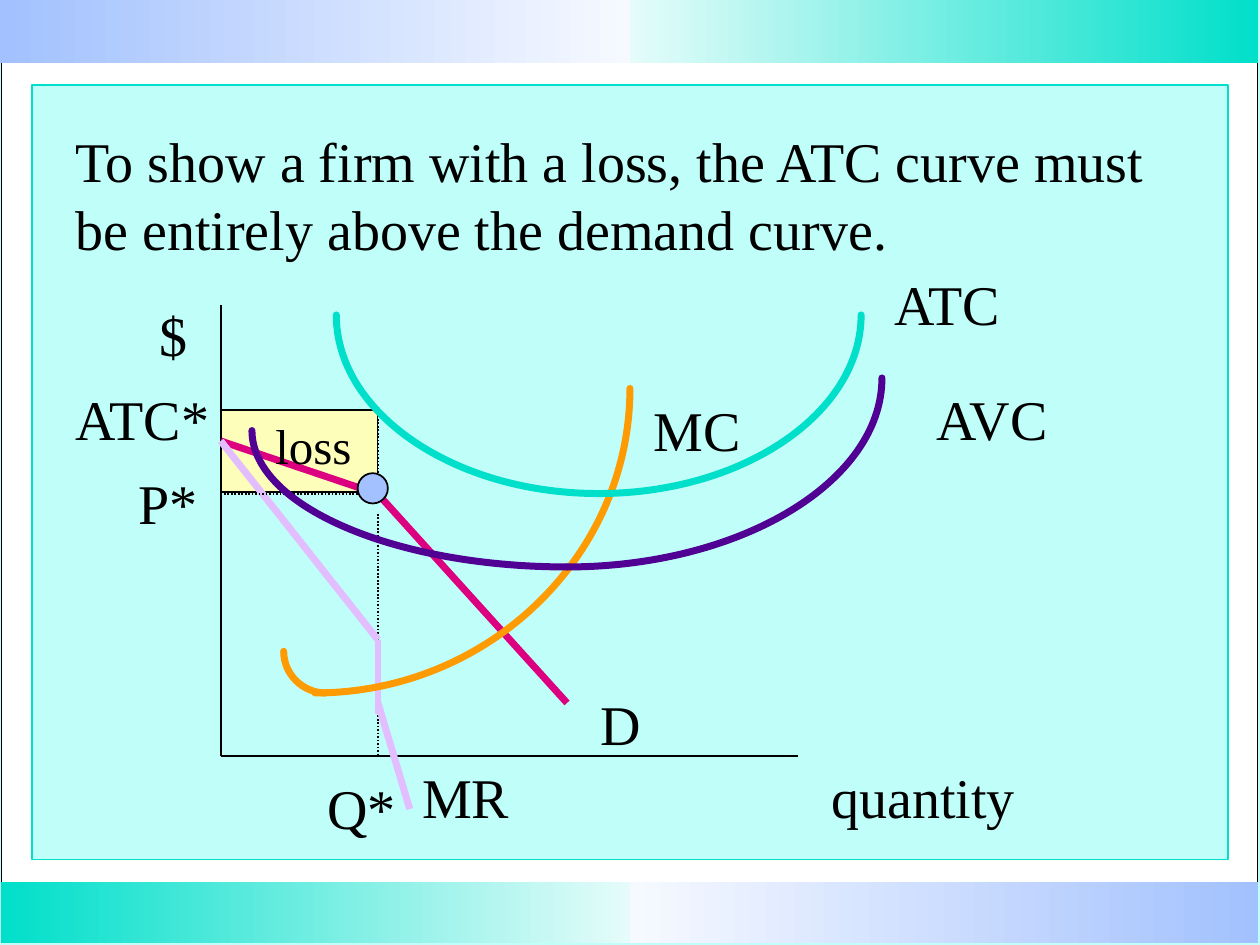
from pptx import Presentation
from pptx import util as u
from pptx.dml.color import RGBColor
from pptx.enum import dml, shapes, text
from pptx.oxml import ns, xmlchemy

INK, AQUA, TEAL, BLUE = "000000", "C0FEF9", "00DFCA", "A2C1FE"
PALE_BLUE, PALE_TEAL = "F6F9FF", "E5FCFA"
PINK, LILAC, ORANGE, PURPLE = "DC0081", "E3BEFF", "FE9B03", "500093"
AXIS_X, AXIS_Y, QUANTITY_X = 4.45, 15.24, 7.62
ATC_Y, PRICE_Y, START_Y = 8.26, 9.96, 8.89
ROUNDNESS = 0.55

LABELS = [
    ("quantity", 16.51, 15.24, 4.47),
    ("$", 2.97, 5.94, 1.73),
    ("D", 11.86, 13.77, 1.3),
    ("MR", 8.26, 15.24, 3.4),
    ("Q*", 6.35, 15.47, 2.13),
    ("P*", 2.54, 9.32, 1.93),
    ("MC", 12.93, 7.85, 2.57),
    ("ATC", 17.78, 5.3, 3),
    ("ATC*", 1.27, 7.62, 3.4),
    ("AVC", 18.63, 7.62, 3.2),
]

CURVES = [
    (6.35, 7.83, 6.35, 6.14, ORANGE),
    (6.57, 13.13, -0.85, 0.84, ORANGE),
    (12.07, 6.35, -5.29, 3.6, TEAL),
    (12.07, 6.35, 5.29, 3.6, TEAL),
    (11.43, 8.68, -6.35, 2.75, PURPLE),
    (11.43, 7.62, 6.35, 3.81, PURPLE),
]


def paint(color_format, value):
    color_format.rgb = RGBColor.from_string(value)


def write(frame, content, size=32, anchor=text.MSO_ANCHOR.TOP,
          fit=text.MSO_AUTO_SIZE.SHAPE_TO_FIT_TEXT):
    frame.word_wrap = True
    frame.auto_size = fit
    frame.vertical_anchor = anchor
    para = frame.paragraphs[0]
    para.alignment = text.PP_ALIGN.LEFT
    span = para.add_run()
    span.text = content
    span.font.size = u.Pt(size)
    span.font.name = "Times New Roman"
    paint(span.font.color, INK)


def add_label(page, content, left, top, width, height=1.6, size=32):
    box = page.shapes.add_textbox(*map(u.Cm, (left, top, width, height)))
    write(box.text_frame, content, size=size)


def add_block(page, area, fill, outline=None, kind=shapes.MSO_SHAPE.RECTANGLE):
    block = page.shapes.add_shape(kind, *map(u.Cm, area))
    block.shadow.inherit = False
    if isinstance(fill, tuple):
        block.fill.gradient()
        block.fill.gradient_angle = 0
        for stop, value in zip(block.fill.gradient_stops, fill):
            paint(stop.color, value)
    else:
        block.fill.solid()
        paint(block.fill.fore_color, fill)
    if outline:
        paint(block.line.color, outline)
        block.line.width = u.Pt(1)
    else:
        block.line.fill.background()
    return block


def add_path(page, points, color=INK, width=1, dotted=False):
    for start, end in zip(points, points[1:]):
        line = page.shapes.add_connector(
            shapes.MSO_CONNECTOR.STRAIGHT, *map(u.Cm, start + end))
        paint(line.line.color, color)
        line.line.width = u.Pt(width)
        if dotted:
            line.line.dash_style = dml.MSO_LINE.ROUND_DOT
        line._element.spPr.append(xmlchemy.OxmlElement("a:effectLst"))


def bend(curve):
    segment = next(curve._element.iter(ns.qn("a:lnTo")))
    start, end = [(int(point.get("x")), int(point.get("y")))
                  for point in segment.getparent().iter(ns.qn("a:pt"))]
    controls = [
        (start[0], start[1] + ROUNDNESS * (end[1] - start[1])),
        (end[0] + ROUNDNESS * (start[0] - end[0]), end[1]),
    ]
    segment.tag = ns.qn("a:cubicBezTo")
    for index, (x, y) in enumerate(controls):
        point = xmlchemy.OxmlElement("a:pt")
        point.set("x", str(round(x)))
        point.set("y", str(round(y)))
        segment.insert(index, point)


def add_curve(page, center_x, center_y, reach_x, reach_y, color):
    builder = page.shapes.build_freeform(u.Cm(center_x + reach_x), u.Cm(center_y))
    builder.add_line_segments([(u.Cm(center_x), u.Cm(center_y + reach_y))],
                              close=False)
    curve = builder.convert_to_shape()
    bend(curve)
    curve.shadow.inherit = False
    curve.fill.background()
    paint(curve.line.color, color)
    curve.line.width = u.Pt(4)
    outline = curve._element.spPr.find(ns.qn("a:ln"))
    outline.set("cap", "rnd")
    outline.append(xmlchemy.OxmlElement("a:round"))


def add_frame(master, page):
    master.background.fill.solid()
    paint(master.background.fill.fore_color, AQUA)
    blocks = [
        add_block(page, (0.03, 0.03, 25.32, 18.97), "FFFFFF", INK),
        add_block(page, (0.65, 1.71, 24.1, 15.62), AQUA, TEAL),
        add_block(page, (0, 0, 12.7, 1.27), (BLUE, PALE_BLUE)),
        add_block(page, (12.7, 0, 12.67, 1.27), (PALE_TEAL, TEAL)),
        add_block(page, (0.02, 17.78, 12.68, 1.24), (TEAL, PALE_TEAL)),
        add_block(page, (12.7, 17.78, 12.67, 1.24), (PALE_BLUE, BLUE)),
    ]
    tree = master.shapes._spTree
    for index, block in enumerate(blocks, start=2):
        tree.insert(index, block._element)


def add_title(page, content):
    title = page.shapes.title
    title.left, title.top, title.width, title.height = map(
        u.Cm, (1.27, 1.91, 22.86, 4.01))
    write(title.text_frame, content, anchor=text.MSO_ANCHOR.MIDDLE,
          fit=text.MSO_AUTO_SIZE.NONE)


def add_diagram(page):
    add_block(page, (AXIS_X, 8.27, 3.16, 1.65), "FCFEB9", INK)
    add_path(page, [(QUANTITY_X, 10.36), (QUANTITY_X, AXIS_Y)], dotted=True)
    add_path(page, [(AXIS_X, 6.14), (AXIS_X, AXIS_Y), (16.08, AXIS_Y)])
    add_path(page, [(AXIS_X, START_Y), (QUANTITY_X, PRICE_Y), (11.43, 14.17)],
             color=PINK, width=4)
    add_path(page, [(AXIS_X, START_Y), (QUANTITY_X, 12.9), (QUANTITY_X, 14.4)],
             color=LILAC, width=4)
    add_path(page, [(QUANTITY_X, 14.17), (8.26, 16.31)], color=LILAC, width=4)
    add_path(page, [(7.42, PRICE_Y), (AXIS_X, PRICE_Y)], dotted=True)
    add_block(page, (7.21, 9.54, 0.61, 0.61), BLUE, INK, shapes.MSO_SHAPE.OVAL)
    add_path(page, [(QUANTITY_X, 9.53), (QUANTITY_X, ATC_Y), (AXIS_X, ATC_Y)],
             dotted=True)
    add_label(page, "loss", 5.3, 8.26, 2.13, height=1.42, size=28)
    for curve in CURVES:
        add_curve(page, *curve)
    for label in LABELS:
        add_label(page, *label)


def main():
    deck = Presentation()
    deck.slide_width, deck.slide_height = u.Cm(25.4), u.Cm(19.05)
    page = deck.slides.add_slide(deck.slide_layouts[5])
    add_frame(deck.slide_master, page)
    add_title(page, "To show a firm with a loss, the ATC curve must "
                    "be entirely above the demand curve.")
    add_diagram(page)
    deck.save("out.pptx")


if __name__ == "__main__":
    main()
